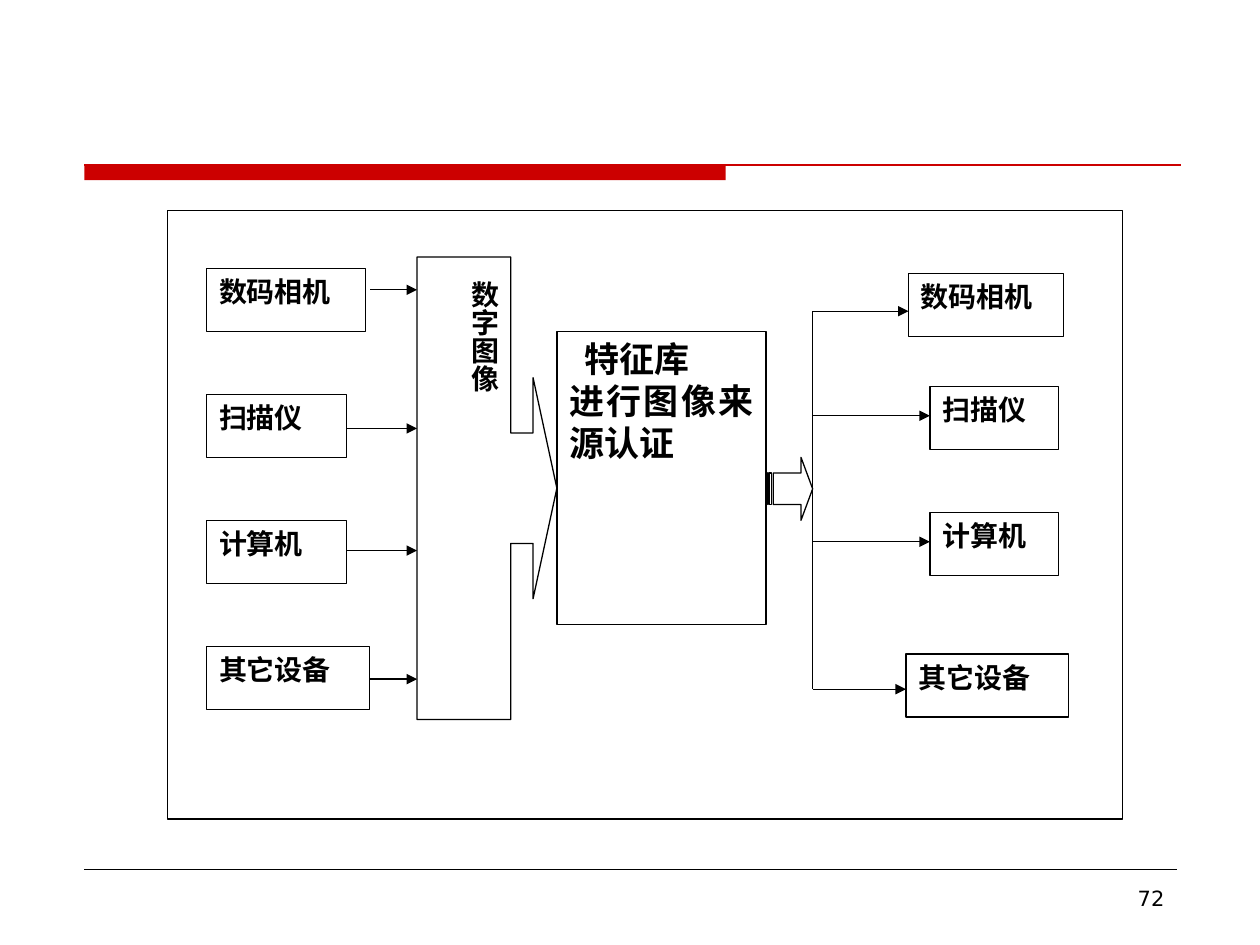
from lxml import etree
from pptx import Presentation
from pptx.dml.color import RGBColor
from pptx.enum.shapes import MSO_CONNECTOR, MSO_SHAPE
from pptx.enum.text import MSO_ANCHOR, PP_ALIGN
from pptx.oxml.ns import qn
from pptx.util import Inches, Pt

RECTANGLE = MSO_SHAPE.RECTANGLE
CALLOUT = MSO_SHAPE.RIGHT_ARROW_CALLOUT
STRIPED_ARROW = MSO_SHAPE.STRIPED_RIGHT_ARROW
STRAIGHT = MSO_CONNECTOR.STRAIGHT
TOP = MSO_ANCHOR.TOP
LEFT, RIGHT, JUSTIFY = PP_ALIGN.LEFT, PP_ALIGN.RIGHT, PP_ALIGN.JUSTIFY

WIDTH, HEIGHT = Inches(10), Inches(7.5)
COLUMNS, ROWS = 100, 75
BLACK, WHITE, RED = "000000", "FFFFFF", "CC0000"
LATIN, NUMBER_FONT = "Times New Roman", "DejaVu Sans"

BOX_HEIGHT = 5
SOURCE_LEFT, SOURCE_TOP, SOURCE_PITCH = 16.4, 21.3, 10
IMAGE_LEFT, BRANCH_X = 33.1, 64.5
# label, box width, arrow start, arrow row
SOURCES = [
    ("数码相机", 12.6, 29.4, 23),
    ("扫描仪", 11.1, 27.5, 34),
    ("计算机", 11.1, 27.5, 43.7),
    ("其它设备", 12.9, 29.4, 53.9),
]
# label, box left, box top, box width, arrow row
RESULTS = [
    ("数码相机", 72.1, 21.7, 12.3, 24.7),
    ("扫描仪", 73.8, 30.7, 10.2, 33),
    ("计算机", 73.8, 40.7, 10.2, 43),
    ("其它设备", 71.9, 51.9, 12.9, 54.7),
]


def color(hex_value):
    return RGBColor.from_string(hex_value)


def across(columns):
    return round(WIDTH * columns / COLUMNS)


def down(rows):
    return round(HEIGHT * rows / ROWS)


def area(left, top, width, height):
    return across(left), down(top), across(width), down(height)


def write(shape, *lines, size=16, font=LATIN, bold=True, align=JUSTIFY,
          first_indent=0, vertical=False):
    """Fill a shape with one paragraph a line; first_indent is in columns."""
    frame = shape.text_frame
    frame.word_wrap = True
    frame.vertical_anchor = TOP
    if vertical:
        frame._txBody.bodyPr.set("vert", "eaVert")
    for index, line in enumerate(lines):
        paragraph = frame.paragraphs[0] if index == 0 else frame.add_paragraph()
        paragraph.alignment = align
        if index == 0 and first_indent:
            paragraph._p.get_or_add_pPr().set("indent", str(across(first_indent)))
        run = paragraph.add_run()
        run.text = line
        run.font.name = font
        run.font.size = Pt(size)
        run.font.bold = bold
        run.font.color.rgb = color(BLACK)


def add_block(slide, place, kind=RECTANGLE, fill=WHITE, line=BLACK, adjustments=()):
    shape = slide.shapes.add_shape(kind, *area(*place))
    shape.shadow.inherit = False
    for index, value in enumerate(adjustments):
        shape.adjustments[index] = value
    shape.fill.solid()
    shape.fill.fore_color.rgb = color(fill)
    if line:
        shape.line.color.rgb = color(line)
        shape.line.width = Pt(0.75)
    else:
        shape.line.fill.background()
    return shape


def add_line(slide, start, end, line=BLACK, width=0.75, arrow=False):
    connector = slide.shapes.add_connector(
        STRAIGHT, across(start[0]), down(start[1]), across(end[0]), down(end[1]))
    connector.line.color.rgb = color(line)
    connector.line.width = Pt(width)
    if arrow:
        outline = connector.line._get_or_add_ln()
        etree.SubElement(outline, qn("a:tailEnd"), type="triangle")
    etree.SubElement(connector._element.spPr, qn("a:effectLst"))


def add_page_frame(slide):
    add_block(slide, (6.7, 13.1, 50.9, 1.2), fill=RED, line=None)
    add_line(slide, (6.7, 13.1), (93.7, 13.1), line=RED)
    add_line(slide, (6.7, 69), (93.4, 69), width=0.25)
    number = slide.shapes.add_textbox(*area(71.7, 69.8, 21.7, 3.7))
    write(number, "72", size=12, font=NUMBER_FONT, bold=False, align=RIGHT)


def add_sources(slide):
    for index, (label, width, arrow_start, row) in enumerate(SOURCES):
        top = SOURCE_TOP + index * SOURCE_PITCH
        write(add_block(slide, (SOURCE_LEFT, top, width, BOX_HEIGHT)), label)
        add_line(slide, (arrow_start, row), (IMAGE_LEFT, row), arrow=True)


def add_recognition(slide):
    add_block(slide, (IMAGE_LEFT, 20.4, 11.1, 36.7), CALLOUT,
              adjustments=(0.79, 0.79, 0.17, 0.67))
    image_label = add_block(slide, (34.1, 21.3, 6.2, 35), line=None)
    write(image_label, "数字图像", align=LEFT, vertical=True)
    library = add_block(slide, (44.2, 26.3, 16.6, 23.3))
    write(library, "特征库", "进行图像来源认证", size=20, first_indent=1.2)
    add_block(slide, (60.8, 36.3, 3.7, 5), STRIPED_ARROW, adjustments=(0.5, 0.25))


def add_results(slide):
    rows = [result[-1] for result in RESULTS]
    add_line(slide, (BRANCH_X, rows[0]), (BRANCH_X, rows[-1]))
    for label, left, top, width, row in RESULTS:
        write(add_block(slide, (left, top, width, BOX_HEIGHT)), label)
        add_line(slide, (BRANCH_X, row), (left, row), arrow=True)


def main():
    presentation = Presentation()
    presentation.slide_width, presentation.slide_height = WIDTH, HEIGHT
    slide = presentation.slides.add_slide(presentation.slide_layouts[6])
    add_page_frame(slide)
    add_block(slide, (13.3, 16.7, 75.8, 48.3))
    add_sources(slide)
    add_recognition(slide)
    add_results(slide)
    presentation.save("out.pptx")


if __name__ == "__main__":
    main()
